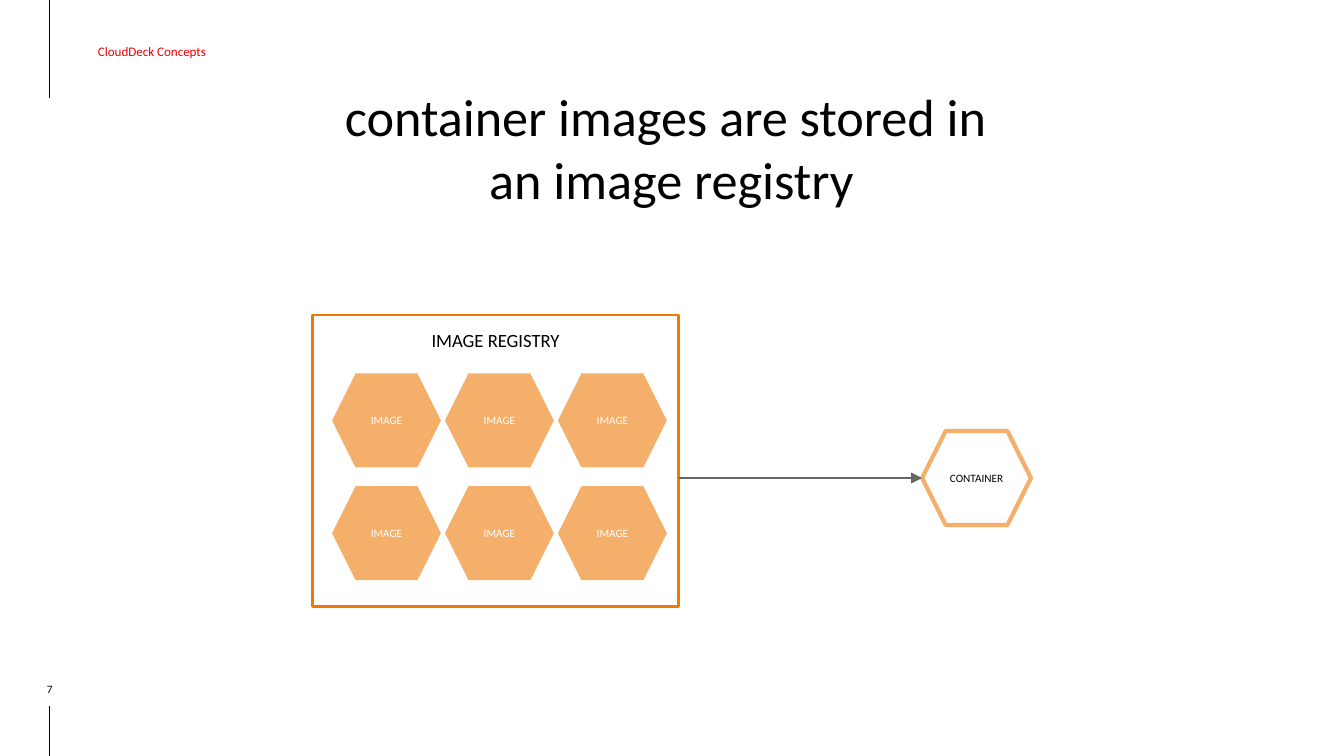
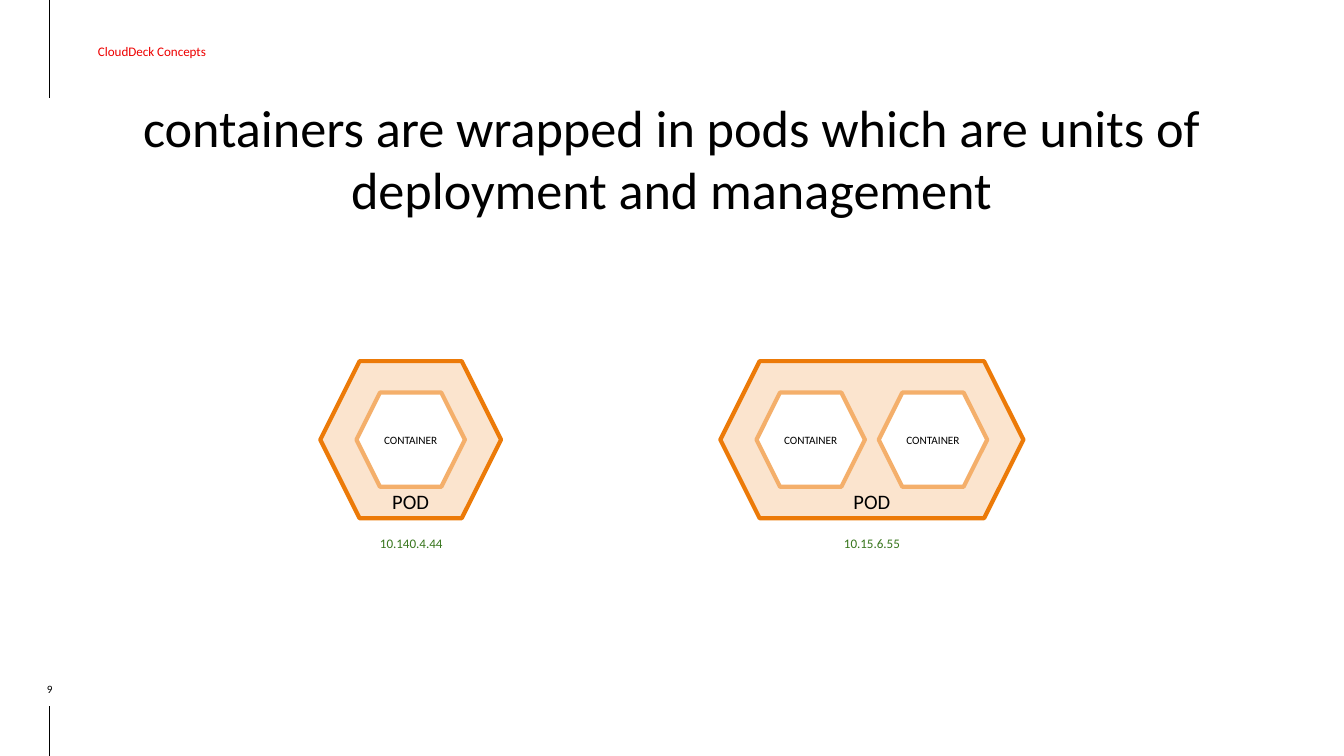
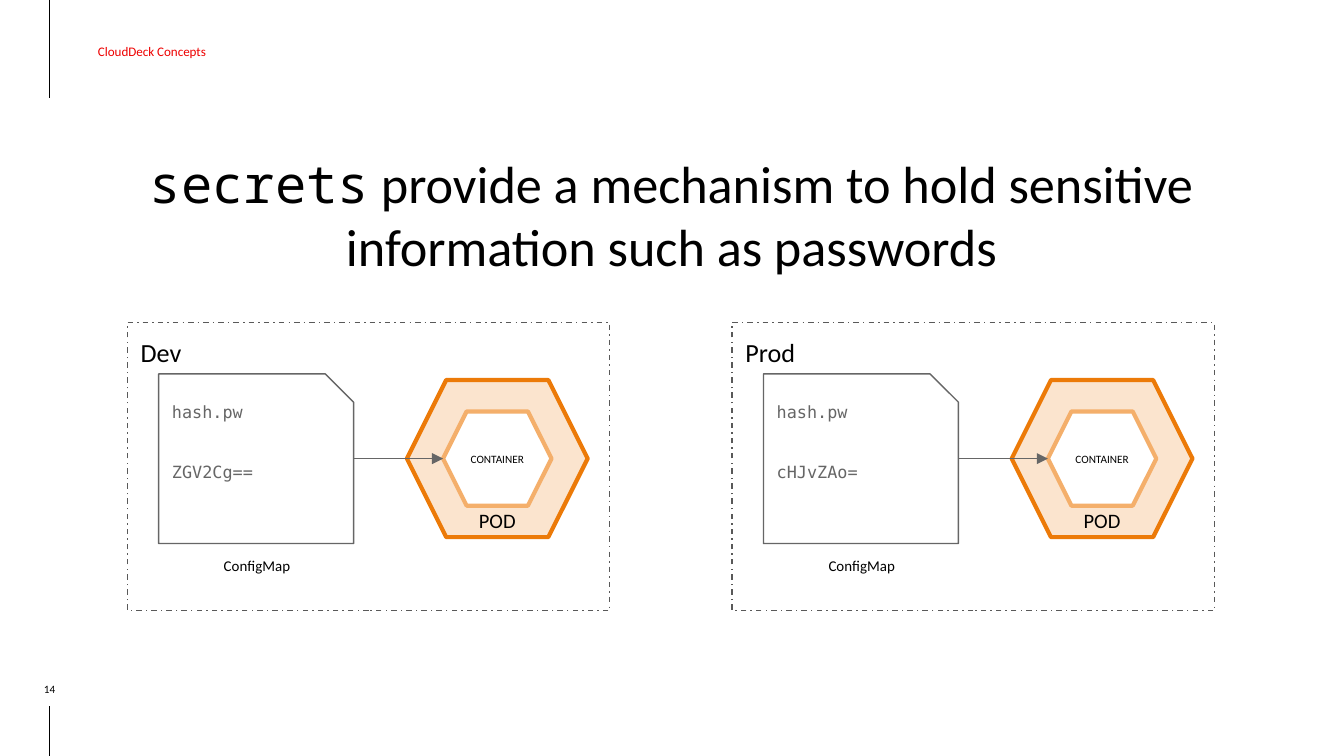
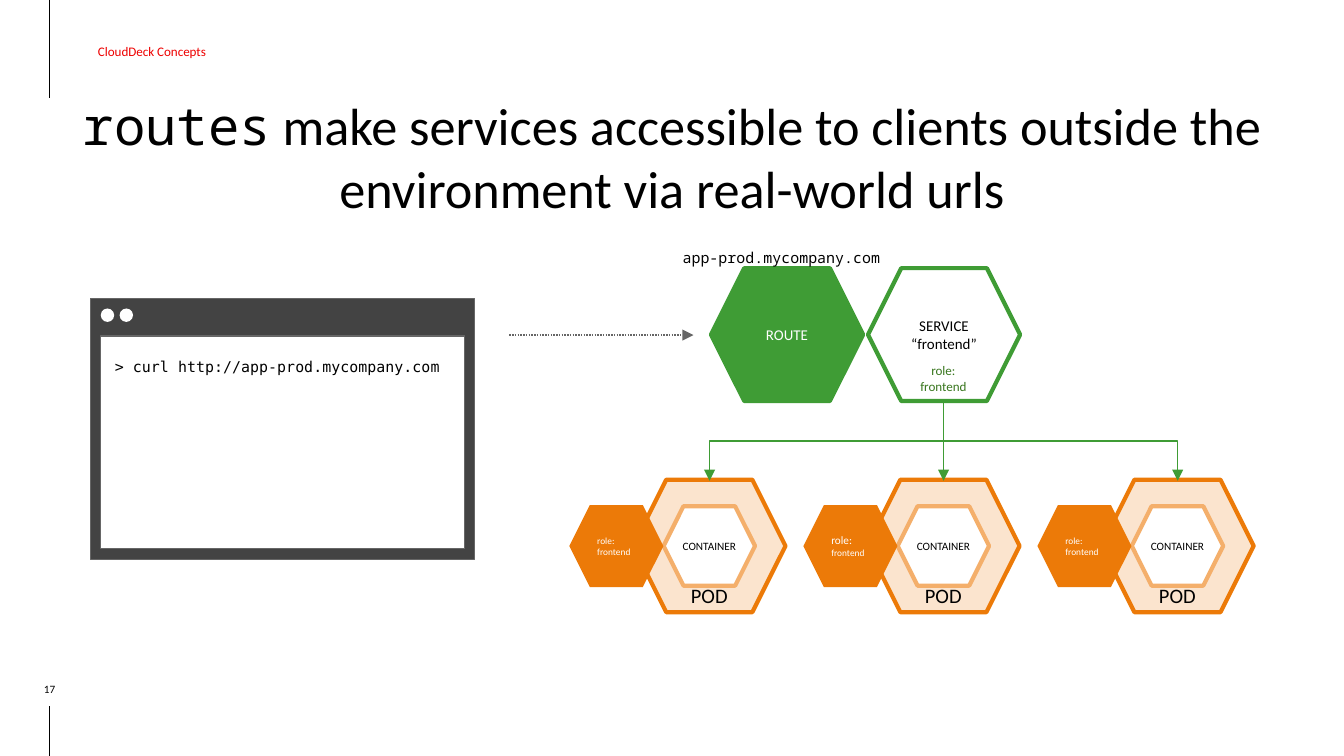
from lxml.etree import SubElement
from pptx import Presentation
from pptx.dml.color import RGBColor
from pptx.enum.dml import MSO_LINE
from pptx.enum.shapes import MSO_CONNECTOR, MSO_SHAPE
from pptx.enum.text import MSO_ANCHOR, MSO_AUTO_SIZE, PP_ALIGN
from pptx.oxml.ns import qn
from pptx.util import Pt

BLACK, WHITE, RED = "000000", "FFFFFF", "EE0000"
ORANGE, APRICOT, CREAM = "EC7A08", "F4AF6B", "FBE4CE"
GREEN, DARK_GREEN = "3F9C35", "38761D"
GREY, DARK_GREY, FRAME_GREY = "666666", "434343", "595959"
CODE = "DejaVu Sans Mono"
KEYWORD = {"name": "Noto Sans Mono"}
TEXT = {"name": "Calibri", "size": Pt(8), "color": BLACK}
NO_INSETS = (0, 0, 0, 0)
PLACEHOLDERS = {"title": 0, "subtitle": 1}
HEXAGON, RECTANGLE = MSO_SHAPE.HEXAGON, MSO_SHAPE.RECTANGLE
STRAIGHT, ELBOW = MSO_CONNECTOR.STRAIGHT, MSO_CONNECTOR.ELBOW


def draw(page, kind, left, top, width, height, paragraphs=(), fill=None, line=None,
         weight=2.25, dash=None, anchor=MSO_ANCHOR.MIDDLE, align=PP_ALIGN.CENTER,
         insets=(7.2, 7.2, 7.2, 7.2), gap=0, **font):
    """Place a shape, text box or placeholder; a paragraph is a string or (text, font) spans."""
    place = [Pt(round(value, 2)) for value in (left, top, width, height)]
    if kind in PLACEHOLDERS:
        box = page.placeholders[PLACEHOLDERS[kind]]
        box.left, box.top, box.width, box.height = place
    elif kind == "text":
        box = page.shapes.add_textbox(*place)
    else:
        box = page.shapes.add_shape(kind, *place)
        box.shadow.inherit = False
    if fill:
        box.fill.solid()
        box.fill.fore_color.rgb = RGBColor.from_string(fill)
    else:
        box.fill.background()
    if line:
        box.line.color.rgb = RGBColor.from_string(line)
        box.line.width = Pt(weight)
        if dash:
            box.line.dash_style = dash
    else:
        box.line.fill.background()

    frame = box.text_frame
    frame.word_wrap = True
    frame.auto_size = MSO_AUTO_SIZE.NONE
    frame.vertical_anchor = anchor
    for side, inset in zip(("left", "top", "right", "bottom"), insets):
        setattr(frame, f"margin_{side}", Pt(round(inset, 2)))
    for index, content in enumerate(paragraphs):
        para = frame.add_paragraph() if index else frame.paragraphs[0]
        para.alignment = align
        para.space_before = Pt(gap if index else 0)
        for words, override in [(content, {})] if isinstance(content, str) else content:
            span = para.add_run()
            span.text = words
            values = {**TEXT, **font, **override}
            span.font.color.rgb = RGBColor.from_string(values.pop("color"))
            for name, value in values.items():
                setattr(span.font, name, value)


def draw_pod(page, left, top, height, containers=1):
    step = 65.5
    width = 1.15 * height + (containers - 1) * step
    text_top = height * (1 + height / width) / 12  # the hexagon's own text margin
    draw(page, HEXAGON, left, top, width, height, ["POD"], CREAM, ORANGE,
         anchor=MSO_ANCHOR.TOP, insets=(7.2, height - 15.7 - text_top, 7.2, 0), size=Pt(11))
    for index in range(containers):
        draw(page, HEXAGON, left + 0.23 * height + index * step, top + 0.2 * height,
             0.69 * height, 0.6 * height, ["CONTAINER"], WHITE, APRICOT,
             insets=NO_INSETS, size=Pt(6))


deck = Presentation()
deck.slide_width, deck.slide_height = Pt(720), Pt(405)

# Shared parts of every slide
bottom, middle = MSO_ANCHOR.BOTTOM, MSO_ANCHOR.MIDDLE
titles = [
    ("7", 64.8, 36, 589.7, bottom, ["container images are stored in ", "an image registry"]),
    ("9", 64.8, 41.8, 589.7, bottom,
     ["containers are wrapped in pods which are units of deployment and management"]),
    ("14", 64.8, 72, 589.7, bottom,
     [[("secrets", KEYWORD),
       (" provide a mechanism to hold sensitive information such as passwords", {})]]),
    ("17", 26.6, 41.8, 666.7, middle,
     [[("routes", KEYWORD),
       (" make services accessible to clients outside the environment via real-world urls", {})]]),
]
pages = []
connectors = []  # page, kind, start, end, colour, dash, has arrowhead
for number, left, top, width, anchor, title in titles:
    page = deck.slides.add_slide(deck.slide_layouts[0])
    pages.append(page)
    draw(page, "subtitle", 26.6, 3.6, 303.8, 48.2, ["CloudDeck Concepts"],
         align=PP_ALIGN.LEFT, insets=(25.9, 5, 5, 5), size=Pt(7), color=RED)
    draw(page, "text", 5, 364.3, 43.2, 8.6, [number], anchor=bottom,
         insets=NO_INSETS, size=Pt(6))
    draw(page, "title", left, top, width, 83.5, title, anchor=anchor, size=Pt(28))
    for start, end in ((52.5, 0), (405, 378)):
        connectors.append((page, STRAIGHT, (26.6, start), (26.6, end), BLACK, None, False))
registry_page, pod_page, secret_page, route_page = pages

# Image registry
draw(registry_page, RECTANGLE, 167.5, 168.8, 196, 156, ["IMAGE REGISTRY"], line=ORANGE,
     weight=1.5, anchor=MSO_ANCHOR.TOP, size=Pt(10))
for row in range(2):
    for column in range(3):
        draw(registry_page, HEXAGON, 177.9 + column * 60.5, 200.1 + row * 60.4, 58.3, 50.4,
             ["IMAGE"], APRICOT, size=Pt(6), color=WHITE)
draw(registry_page, HEXAGON, 494, 230.9, 58.3, 50.4, ["CONTAINER"], WHITE, APRICOT,
     insets=NO_INSETS, size=Pt(6))
connectors.append((registry_page, STRAIGHT, (363.5, 256.1), (494, 256.1), GREY, None, True))

# Pods and their addresses
for left, containers, address, address_left, address_width in (
        (171.6, 1, "10.140.4.44", 194.4, 51.8), (385.9, 2, "10.15.6.55", 405.2, 123.8)):
    draw_pod(pod_page, left, 193.5, 84.2, containers)
    draw(pod_page, "text", address_left, 279.4, address_width, 18.7, [address],
         anchor=MSO_ANCHOR.TOP, size=Pt(7), color=DARK_GREEN)

# Secrets in two environments
for left, environment, secret in ((68.2, "Dev", "ZGV2Cg=="), (392.2, "Prod", "cHJvZAo=")):
    draw(secret_page, RECTANGLE, left, 172.8, 258.5, 154.4, [environment], line=FRAME_GREY,
         weight=0.75, dash=MSO_LINE.DASH_DOT, anchor=MSO_ANCHOR.TOP,
         align=PP_ALIGN.LEFT, size=Pt(14))
    draw(secret_page, MSO_SHAPE.SNIP_1_RECTANGLE, left + 16.8, 200.3, 104.4, 90.9,
         ["hash.pw", secret], WHITE, GREY, weight=0.75, anchor=MSO_ANCHOR.TOP,
         align=PP_ALIGN.LEFT, gap=21.6, name=CODE, size=Pt(9), color=GREY)
    draw(secret_page, "text", left + 17.3, 291, 104.4, 17.3, ["ConfigMap"],
         anchor=MSO_ANCHOR.TOP)
    draw_pod(secret_page, left + 149.8, 203.6, 84.2)
    connectors.append((secret_page, STRAIGHT, (left + 121.2, 245.7), (left + 169.2, 245.7),
                       GREY, None, True))

# Browser window
draw(route_page, RECTANGLE, 48.4, 159.8, 205.9, 139.9, fill=DARK_GREY, line=GREY, weight=0.75)
draw(route_page, RECTANGLE, 54, 180, 195, 114, fill=WHITE, line=GREY, weight=0.75)
draw(route_page, "text", 54.5, 184.3, 205.9, 28.8, ["> curl http://app-prod.mycompany.com"],
     anchor=MSO_ANCHOR.TOP, align=PP_ALIGN.LEFT, name=CODE)
for left in (54, 64.1):
    draw(route_page, MSO_SHAPE.OVAL, left, 165.3, 7.2, 7.2, fill=WHITE)
connectors.append((route_page, STRAIGHT, (272.9, 179.5), (371.5, 179.5), GREY,
                   MSO_LINE.ROUND_DOT, True))

# Route, service and the pods behind it
draw(route_page, HEXAGON, 465, 143.7, 81.5, 71.2, ["SERVICE", "“frontend”"], WHITE, GREEN)
draw(route_page, "text", 483.8, 187.2, 43.2, 15.8, ["role:", "frontend"],
     anchor=MSO_ANCHOR.TOP, size=Pt(7), color=DARK_GREEN)
draw(route_page, HEXAGON, 380.9, 143.7, 81.5, 71.2, ["ROUTE"], GREEN, GREEN, color=WHITE)
draw(route_page, "text", 358.6, 126, 125.3, 23.8, ["app-prod.mycompany.com"],
     align=PP_ALIGN.LEFT, **KEYWORD)
for index, role_size in enumerate((5, 6, 5)):
    left = 339.2 + index * 125.4
    draw_pod(route_page, left, 257, 71)
    draw(route_page, HEXAGON, left - 34.2, 270.6, 50.4, 43.9,
         [[("role:", {"size": Pt(role_size)})], "frontend"], ORANGE,
         align=PP_ALIGN.LEFT, size=Pt(5), color=WHITE)
    connectors.append((route_page, ELBOW, (505.5, 214.9), (505.5 + (index - 1) * 125.4, 257.6),
                       GREEN, None, True))

# Lines and arrows
for page, kind, start, end, colour, dash, has_arrowhead in connectors:
    (x1, y1), (x2, y2) = start, end
    rightward = x2 > x1
    if kind == ELBOW:  # laid out sideways, then turned to leave the shape downwards
        center_x, center_y = (x1 + x2) / 2, (y1 + y2) / 2
        half_width, half_height = (y2 - y1) / 2, abs(x2 - x1) / 2
        x1, x2 = center_x - half_width, center_x + half_width
        y1, y2 = center_y - half_height, center_y + half_height
        if rightward:
            x1, x2 = x2, x1
    connector = page.shapes.add_connector(kind, *[Pt(round(value, 2)) for value in (x1, y1, x2, y2)])
    connector.line.color.rgb = RGBColor.from_string(colour)
    connector.line.width = Pt(0.75)
    if dash:
        connector.line.dash_style = dash
    properties = connector._element.spPr
    if kind == ELBOW:
        properties.find(qn("a:xfrm")).set("rot", "16200000" if rightward else "5400000")
    if has_arrowhead:
        SubElement(properties.find(qn("a:ln")), qn("a:tailEnd"), type="triangle")
    SubElement(properties, qn("a:effectLst"))

deck.save("out.pptx")
